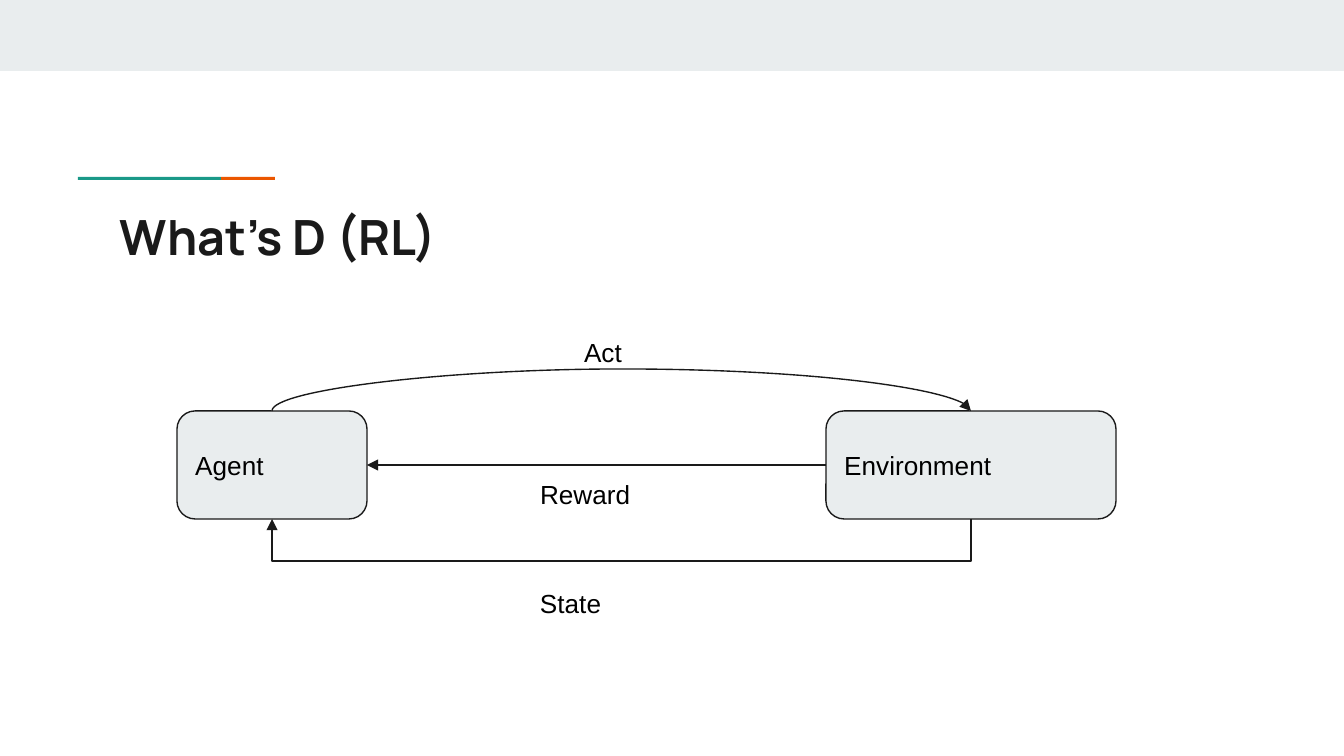
from lxml import etree
from pptx import Presentation
from pptx.dml.color import RGBColor
from pptx.enum.shapes import MSO_CONNECTOR, MSO_SHAPE
from pptx.enum.text import MSO_ANCHOR, PP_ALIGN
from pptx.oxml.ns import qn
from pptx.util import Pt

PX = 914400 / 134.4
SLIDE_WIDTH, SLIDE_HEIGHT = 1344, 756
INSET = 13
LOOP_DEPTH = 35
LOOP_THICKNESS = 600

RECTANGLE = MSO_SHAPE.RECTANGLE
ROUNDED = MSO_SHAPE.ROUNDED_RECTANGLE
CURVE = MSO_CONNECTOR.CURVE
ELBOW = MSO_CONNECTOR.ELBOW
TOP_ANCHOR, MIDDLE_ANCHOR = MSO_ANCHOR.TOP, MSO_ANCHOR.MIDDLE
LEFT_ALIGN = PP_ALIGN.LEFT
TOP_SITE, LEFT_SITE, BOTTOM_SITE, RIGHT_SITE = range(4)

PALE_GRAY = RGBColor(0xE9, 0xED, 0xEE)
INK = RGBColor(0x1A, 0x1A, 0x1A)
BLACK = RGBColor(0, 0, 0)
TEAL = RGBColor(0x1A, 0x99, 0x88)
ORANGE = RGBColor(0xEB, 0x56, 0x00)


def emu(pixels):
    return round(pixels * PX)


def write_text(shape, text, size, font_name, color, bold=False, anchor=TOP_ANCHOR):
    frame = shape.text_frame
    frame.word_wrap = True
    frame.vertical_anchor = anchor
    frame.margin_left = frame.margin_right = emu(INSET)
    frame.margin_top = frame.margin_bottom = emu(INSET)
    paragraph = frame.paragraphs[0]
    paragraph.alignment = LEFT_ALIGN
    run = paragraph.add_run()
    run.text = text
    run.font.size = Pt(size)
    run.font.name = font_name
    run.font.bold = bold
    run.font.color.rgb = color


def add_block(slide, kind, box, fill):
    shape = slide.shapes.add_shape(kind, *map(emu, box))
    shape.shadow.inherit = False
    shape.fill.solid()
    shape.fill.fore_color.rgb = fill
    shape.line.fill.background()
    return shape


def add_label(slide, box, text, size=14, font_name="Arial", color=BLACK, bold=False):
    label = slide.shapes.add_textbox(*map(emu, box))
    write_text(label, text, size, font_name, color, bold)


def add_node(slide, box, text):
    node = add_block(slide, ROUNDED, box, PALE_GRAY)
    node.adjustments[0] = 0.167
    node.line.color.rgb = INK
    node.line.width = Pt(0.75)
    write_text(node, text, 14, "Arial", BLACK, anchor=MIDDLE_ANCHOR)
    return node


def add_arrow(slide, kind, start, start_site, end, end_site):
    arrow = slide.shapes.add_connector(kind, 0, 0, 0, 0)
    arrow.begin_connect(start, start_site)
    arrow.end_connect(end, end_site)
    arrow.line.color.rgb = INK
    arrow.line.width = Pt(0.75)
    properties = arrow._element.spPr
    etree.SubElement(properties.find(qn("a:ln")), qn("a:tailEnd"), type="triangle")
    etree.SubElement(properties, qn("a:effectLst"))
    return arrow


def bend_into_loop(arrow, rotation, direction):
    span = abs(arrow.end_x - arrow.begin_x)
    center_x = (arrow.begin_x + arrow.end_x) // 2
    center_y = arrow.begin_y
    properties = arrow._element.spPr
    frame = properties.find(qn("a:xfrm"))
    frame.attrib.clear()
    frame.set("rot", str(rotation * 60000))
    if direction < 0:
        frame.set("flipH", "1")
    arrow.left = center_x - LOOP_THICKNESS // 2
    arrow.top = center_y - span // 2
    arrow.width, arrow.height = LOOP_THICKNESS, span
    guides = properties.find(qn("a:prstGeom")).get_or_add_avLst()
    bend = direction * round(emu(LOOP_DEPTH) / LOOP_THICKNESS * 100000)
    etree.SubElement(guides, qn("a:gd"), name="adj1", fmla=f"val {bend}")


def add_header(slide, left, top, width, height):
    add_block(slide, RECTANGLE, (left, top, width, height), PALE_GRAY)


def add_title(slide, left, top, width, height):
    for offset, length, color in ((0, 143, TEAL), (143, 54, ORANGE)):
        add_block(slide, RECTANGLE, (left + offset, top, length, 3), color)
    title_box = (left + 29, top + 17, width - 29, height - 17)
    add_label(slide, title_box, "What’s D (RL)", 26, "Manrope", INK, True)


def add_learning_loop(slide, left, top, width, height):
    node_top, node_height, environment_width = top + 88, 108, 290
    agent = add_node(slide, (left, node_top, 190, node_height), "Agent")
    environment_left = left + width - environment_width
    environment = add_node(
        slide, (environment_left, node_top, environment_width, node_height), "Environment"
    )

    act = add_arrow(slide, CURVE, agent, TOP_SITE, environment, TOP_SITE)
    bend_into_loop(act, 270, -1)
    add_arrow(slide, CURVE, environment, LEFT_SITE, agent, RIGHT_SITE)
    state = add_arrow(slide, ELBOW, environment, BOTTOM_SITE, agent, BOTTOM_SITE)
    bend_into_loop(state, 90, 1)

    add_label(slide, (left + 394, top, 112, 44), "Act")
    add_label(slide, (left + 350, top + 142, 190, 55), "Reward")
    add_label(slide, (left + 350, top + height - 55, 145, 55), "State")


def main():
    presentation = Presentation()
    presentation.slide_width = emu(SLIDE_WIDTH)
    presentation.slide_height = emu(SLIDE_HEIGHT)
    slide = presentation.slides.add_slide(presentation.slide_layouts[6])
    add_header(slide, 0, 0, SLIDE_WIDTH, 71)
    add_title(slide, 78, 177, 1159, 96)
    add_learning_loop(slide, 177, 323, 939, 306)
    presentation.save("out.pptx")


if __name__ == "__main__":
    main()
